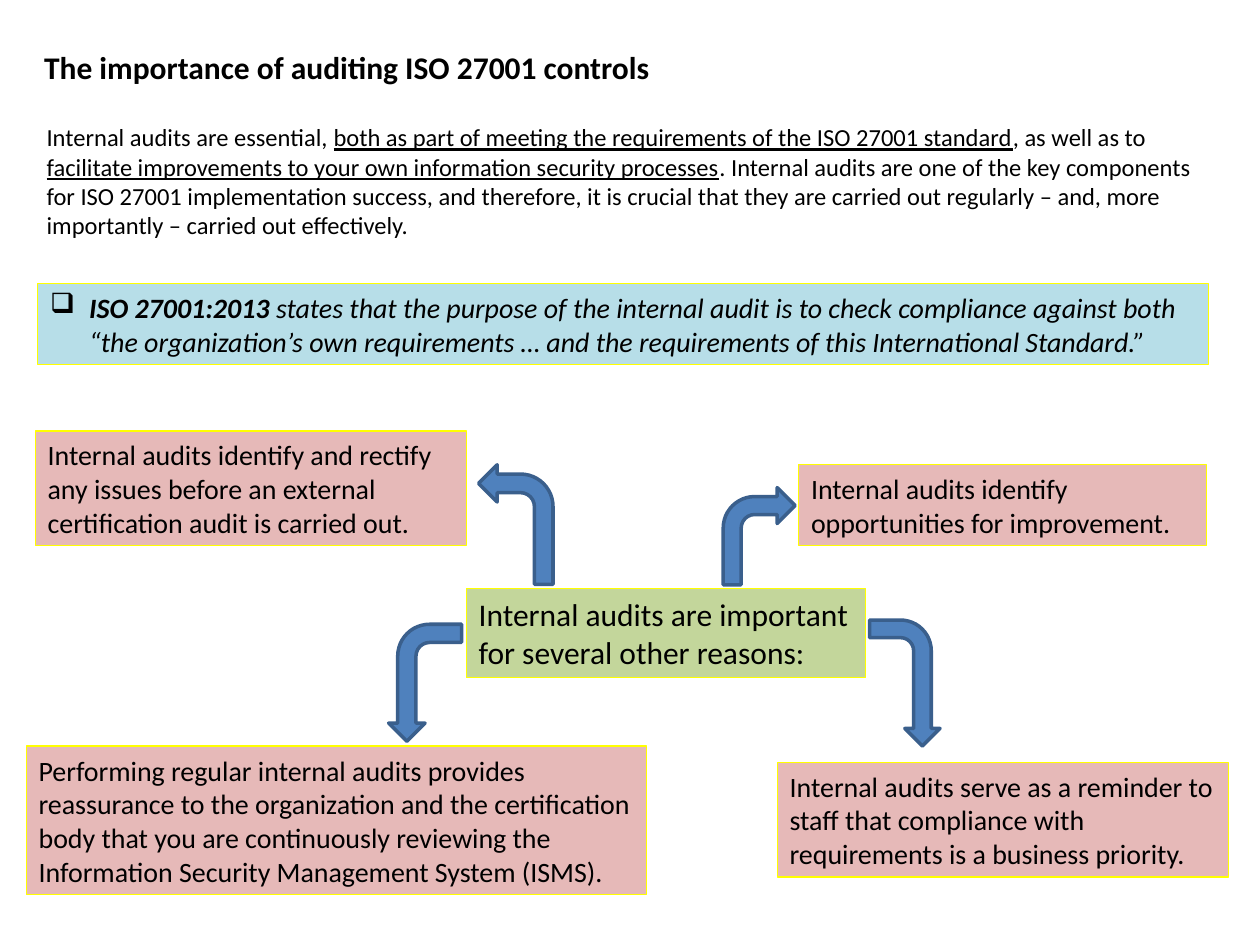
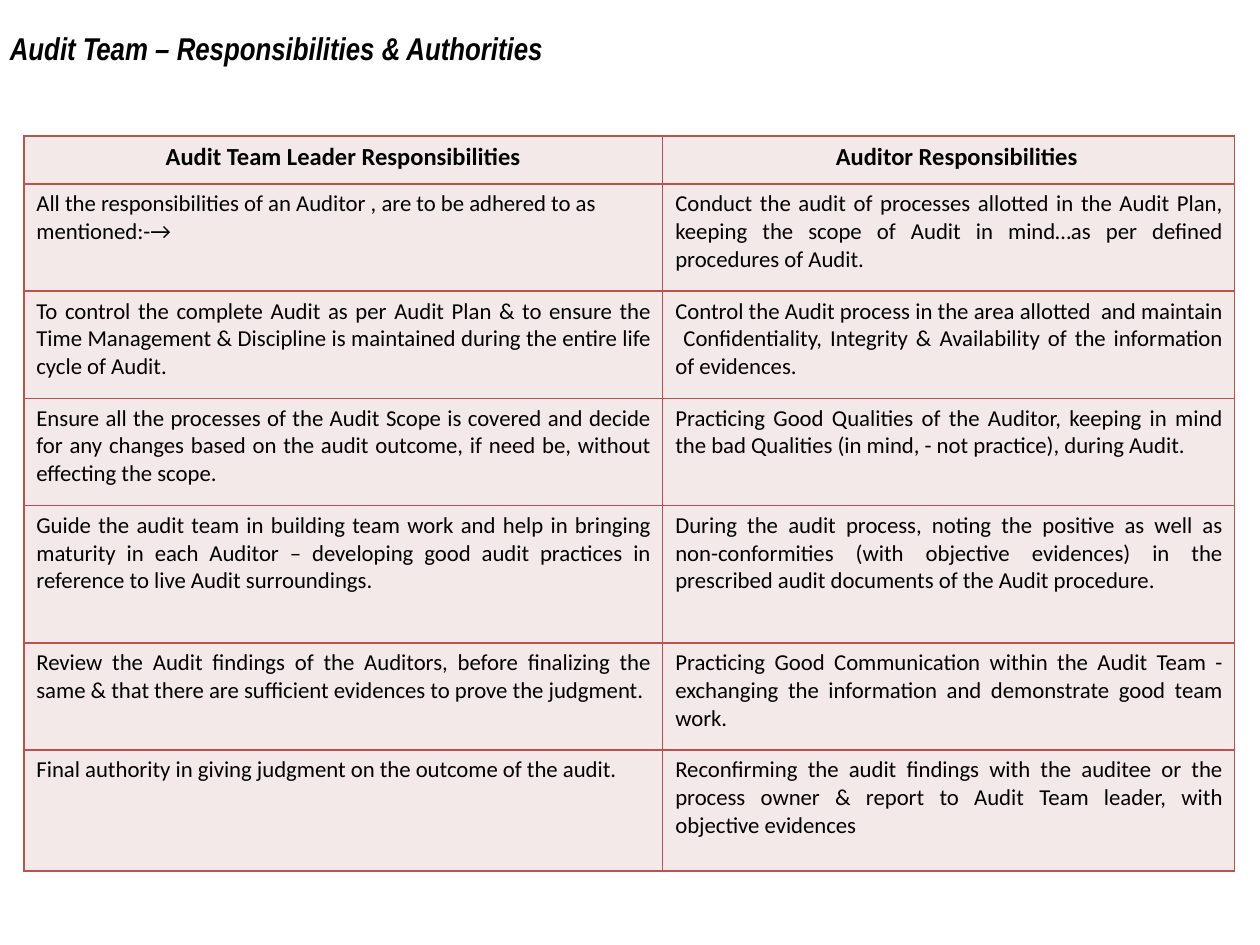
import pptx
import pptx.util
import pptx.dml.color
import pptx.enum.shapes
import pptx.enum.text
import pptx.oxml.ns
from lxml import etree

Cm, Pt = pptx.util.Cm, pptx.util.Pt
SHAPE = pptx.enum.shapes.MSO_SHAPE
ALIGN = pptx.enum.text.PP_ALIGN
rgb = pptx.dml.color.RGBColor.from_string
qn = pptx.oxml.ns.qn

COLORS = {
    "text": "000000", "quote": "B7DEE8", "center": "C3D69B", "reason": "E6B9B8",
    "box_line": "FFFF00", "arrow": "4F81BD", "arrow_line": "3A5F8C",
    "cell": "F4E9E9", "grid": "C0504D",
}


def write(p, runs, size, font="Calibri"):
    """Fill a paragraph with (text, style) runs; style letters are b, i and u."""
    for text, style in runs:
        r = p.add_run()
        r.text = text
        r.font.name, r.font.size = font, Pt(size)
        r.font.color.rgb = rgb(COLORS["text"])
        r.font.bold = "b" in style
        r.font.italic = "i" in style
        r.font.underline = "u" in style


def add_shape(slide, kind, box, fill, line, width):
    s = slide.shapes.add_shape(kind, *[Cm(v) for v in box])
    s.shadow.inherit = False
    s.fill.solid()
    s.fill.fore_color.rgb = rgb(COLORS[fill])
    s.line.color.rgb = rgb(COLORS[line])
    s.line.width = Pt(width)
    return s


prs = pptx.Presentation()
prs.slide_width, prs.slide_height = Cm(25.4), Cm(19.05)
blank = prs.slide_layouts[6]
importance, team = [prs.slides.add_slide(blank) for _ in range(2)]

# Titles and introduction
intro = [
    ("Internal audits are essential, ", ""),
    ("both as part of meeting the requirements of the ISO 27001 standard", "u"),
    (", as well as to ", ""),
    ("facilitate improvements to your own information security processes", "u"),
    (". Internal audits are one of the key components for ISO 27001 implementation "
     "success, and therefore, it is crucial that they are carried out regularly – and, "
     "more importantly – carried out effectively.", ""),
]
texts = [
    (importance, (0.64, 0.84, 14.6, 1.02),
     [("The importance of auditing ISO 27001 controls", "b")], 18, "Calibri"),
    (importance, (0.69, 2.34, 23.65, 2.64), intro, 14, "Calibri"),
    (team, (-0.05, 0.46, 12.75, 1.04),
     [("Audit Team – Responsibilities & Authorities", "bi")], 18, "Arial Narrow"),
]
for slide, box, runs, size, font in texts:
    tf = slide.shapes.add_textbox(*[Cm(v) for v in box]).text_frame
    tf.word_wrap = True
    write(tf.paragraphs[0], runs, size, font)

# Slide 1: quote, central statement and the four reasons around it
quote = [
    ("ISO 27001:2013", "bi"),
    (" states that the purpose of the internal audit is to check compliance against both "
     "“the organization’s own requirements … and the requirements of this "
     "International Standard.”", "i"),
]
boxes = [
    ((0.76, 5.72, 23.6, 1.63), "quote", 16, quote),
    ((9.4, 11.86, 8.05, 1.8), "center", 18,
     [("Internal audits are important for several other reasons:", "")]),
    ((0.71, 8.69, 8.69, 2.31), "reason", 16,
     [("Internal audits identify and rectify any issues before an external "
       "certification audit is carried out.", "")]),
    ((16.1, 9.37, 8.23, 1.63), "reason", 16,
     [("Internal audits identify opportunities for improvement.", "")]),
    ((0.53, 15.04, 12.5, 3.0), "reason", 16,
     [("Performing regular internal audits provides reassurance to the organization and "
       "the certification body that you are continuously reviewing the Information "
       "Security Management System (ISMS).", "")]),
    ((15.67, 15.37, 9.09, 2.31), "reason", 16,
     [("Internal audits serve as a reminder to staff that compliance with requirements "
       "is a business priority.", "")]),
]
for box, fill, size, runs in boxes:
    s = add_shape(importance, SHAPE.RECTANGLE, box, fill, "box_line", 0.75)
    s.text_frame.word_wrap = True
    p = s.text_frame.paragraphs[0]
    p.alignment = ALIGN.LEFT
    if fill == "quote":
        pPr = p._p.get_or_add_pPr()
        pPr.set("marL", str(Cm(0.79)))
        pPr.set("indent", str(-Cm(0.79)))
        etree.SubElement(pPr, qn("a:buChar")).set("char", "❑")
    write(p, runs, size)

# Slide 1: bent arrows (box, rotation, mirrored)
arrows = [
    ((16.97, 13.06, 2.54, 1.42), 90, False),
    ((7.39, 13.03, 2.36, 1.47), 270, True),
    ((9.65, 9.37, 1.5, 2.41), 0, True),
    ((14.58, 9.83, 1.45, 1.96), 0, False),
]
for box, rotation, mirrored in arrows:
    s = add_shape(importance, SHAPE.BENT_ARROW, box, "arrow", "arrow_line", 2)
    s.rotation = rotation
    if mirrored:
        s._element.spPr.find(qn("a:xfrm")).set("flipH", "1")

# Slide 2: responsibilities table
rows = [
    ("Audit Team Leader Responsibilities", "Auditor Responsibilities"),
    ("All the responsibilities of an Auditor , are to be adhered to as mentioned:-→",
     "Conduct the audit of processes allotted in the Audit Plan, keeping the scope of "
     "Audit in mind…as per defined procedures of Audit."),
    ("To control the complete Audit as per Audit Plan & to ensure the Time Management & "
     "Discipline is maintained during the entire life cycle of Audit.",
     "Control the Audit process in the area allotted  and maintain  Confidentiality, "
     "Integrity & Availability of the information of evidences."),
    ("Ensure all the processes of the Audit Scope is covered and decide for any changes "
     "based on the audit outcome, if need be, without effecting the scope.",
     "Practicing Good Qualities of the Auditor, keeping in mind the bad Qualities "
     "(in mind, - not practice), during Audit."),
    ("Guide the audit team in building team work and help in bringing maturity in each "
     "Auditor – developing good audit practices in reference to live Audit surroundings.",
     "During the audit process, noting the positive as well as non-conformities (with "
     "objective evidences) in the prescribed audit documents of the Audit procedure."),
    ("Review the Audit findings of the Auditors, before finalizing the same & that there "
     "are sufficient evidences to prove the judgment.",
     "Practicing Good Communication within the Audit Team - exchanging the information "
     "and demonstrate good team work."),
    ("Final authority in giving judgment on the outcome of the audit.",
     "Reconfirming the audit findings with the auditee or the process owner & report to "
     "Audit Team leader, with objective evidences"),
]
widths = [12.88, 11.53]
heights = [0.97, 2.16, 2.16, 2.16, 2.77, 2.16, 2.44]
table = team.shapes.add_table(len(rows), len(widths), Cm(0.48), Cm(2.74),
                              Cm(sum(widths)), Cm(sum(heights))).table
for column, width in zip(table.columns, widths):
    column.width = Cm(width)
for i, (height, row) in enumerate(zip(heights, rows)):
    table.rows[i].height = Cm(height)
    for j, text in enumerate(row):
        cell = table.cell(i, j)
        p = cell.text_frame.paragraphs[0]
        p.alignment = ALIGN.CENTER if i == 0 else ALIGN.JUSTIFY
        write(p, [(text, "b" if i == 0 else "")], 14 if i == 0 else 13)
        # Borders go before the fill in the cell properties
        tcPr = cell._tc.get_or_add_tcPr()
        for side in ("lnL", "lnR", "lnT", "lnB"):
            ln = etree.SubElement(tcPr, qn("a:" + side), w=str(Pt(1)))
            solid = etree.SubElement(ln, qn("a:solidFill"))
            etree.SubElement(solid, qn("a:srgbClr"), val=COLORS["grid"])
        cell.fill.solid()
        cell.fill.fore_color.rgb = rgb(COLORS["cell"])
table.cell(0, 1).margin_left = Cm(0.58)
table.cell(1, 0).text_frame.paragraphs[0].alignment = ALIGN.LEFT

prs.save("out.pptx")
